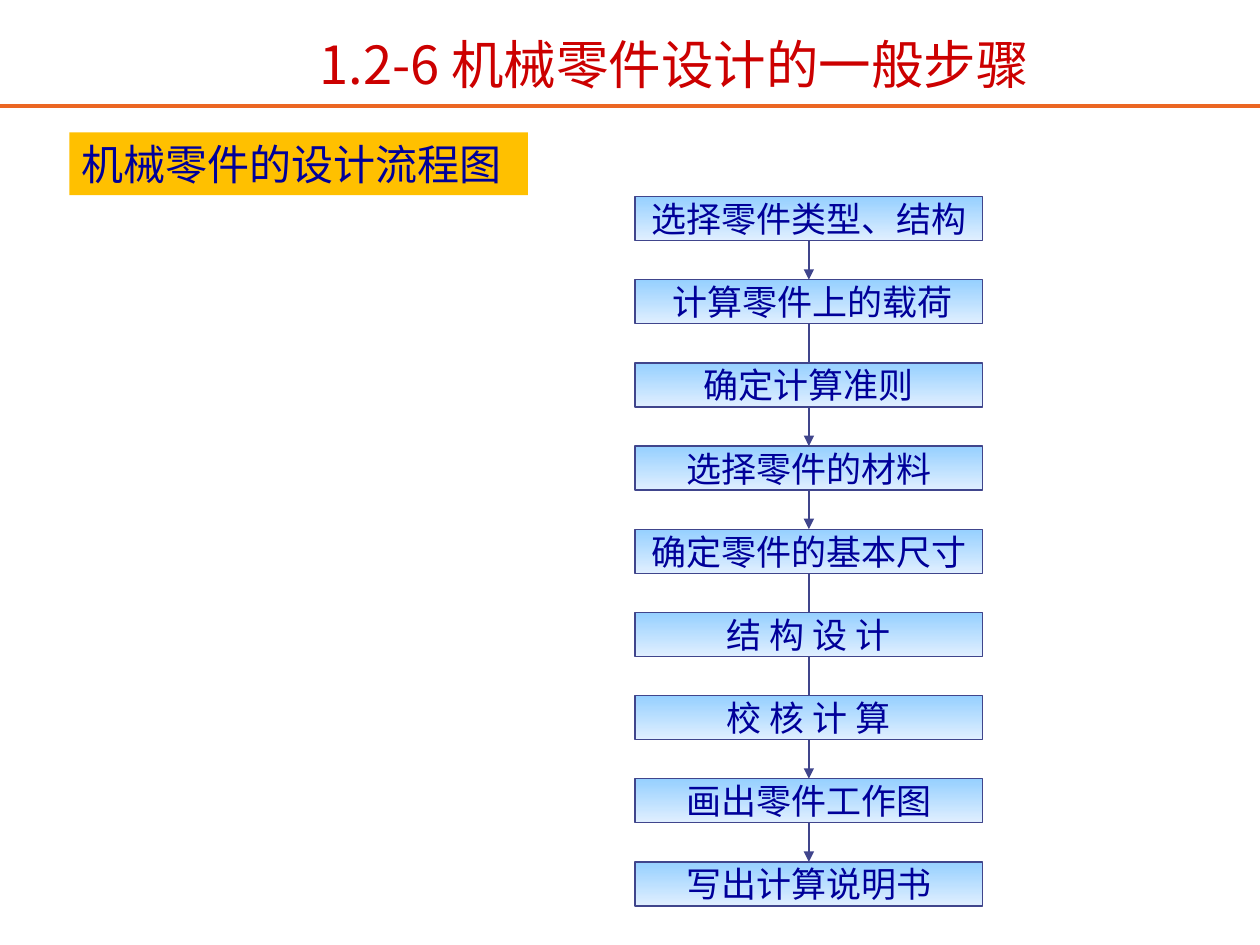
from collections import namedtuple
from dataclasses import dataclass

from lxml import etree
from pptx import Presentation
from pptx.dml.color import RGBColor
from pptx.enum import shapes, text
from pptx.oxml.ns import qn
from pptx.util import Inches, Pt

Box = namedtuple("Box", "x y w h")


@dataclass(frozen=True)
class Theme:
    """Colours, font and type sizes of the slide."""
    font: str = "Noto Sans CJK SC"
    title: str = "CC0000"
    ink: str = "000099"
    rule: str = "EB6623"
    label: str = "FFC000"
    edge: str = "40458C"
    step_top: str = "96D0FF"
    step_bottom: str = "E0EFFF"
    title_size: int = 30
    label_size: int = 24
    step_size: int = 20
    thin: float = 0.75
    thick: float = 2.25


THEME = Theme()
SLIDE = Box(0, 0, 10, 7.5)
STEPS = [
    ("选择零件类型、结构", True),
    (" 计算零件上的载荷", False),
    ("确定计算准则", True),
    ("选择零件的材料", True),
    ("确定零件的基本尺寸", False),
    ("结 构 设 计", False),
    ("校 核 计 算", True),
    ("画出零件工作图", True),
    ("写出计算说明书", False),
]


def rgb(value):
    """Turn a hex string into a colour."""
    return RGBColor.from_string(value)


def emu(box):
    """Turn a box in inches into slide lengths."""
    return [Inches(v) for v in box]


def write(sp, words, size, color, align=text.PP_ALIGN.CENTER, wrap=True, top=0.05, bottom=0.05):
    """Write one formatted paragraph into a shape."""
    tf = sp.text_frame
    tf.word_wrap = wrap
    tf.vertical_anchor = text.MSO_ANCHOR.MIDDLE
    tf.margin_top, tf.margin_bottom = Inches(top), Inches(bottom)
    p = tf.paragraphs[0]
    p.alignment = align
    r = p.add_run()
    r.text = words
    r.font.size, r.font.name = Pt(size), THEME.font
    r.font.color.rgb = rgb(color)
    etree.SubElement(r.font._element, qn("a:ea"), typeface=THEME.font)


def add_rect(s, box):
    """Add a rectangle without shadow or outline."""
    sp = s.shapes.add_shape(shapes.MSO_SHAPE.RECTANGLE, *emu(box))
    sp.shadow.inherit = False
    sp.line.fill.background()
    return sp


def add_line(s, start, end, color, width, arrow=False):
    """Add a straight line, with an arrowhead at its end if asked."""
    c = s.shapes.add_connector(shapes.MSO_CONNECTOR.STRAIGHT, *emu(start + end))
    c.line.color.rgb, c.line.width = rgb(color), Pt(width)
    if arrow:
        etree.SubElement(c.line._get_or_add_ln(), qn("a:tailEnd"), type="triangle")
    etree.SubElement(c._element.spPr, qn("a:effectLst"))
    return c


def add_header(s, box):
    """Place the title and the rule along the bottom of the header."""
    area = Box(box.x + 0.17 * box.w, box.y + box.h / 3, 0.73 * box.w, 0.56 * box.h)
    sp = s.shapes.add_textbox(*emu(area))
    write(sp, "1.2-6 机械零件设计的一般步骤", THEME.title_size, THEME.title, top=0.02)
    y = box.y + box.h
    add_line(s, (box.x, y), (box.x + box.w, y), THEME.rule, THEME.thick)


def add_label(s, box):
    """Place the label that names the flowchart."""
    sp = add_rect(s, box)
    sp.fill.solid()
    sp.fill.fore_color.rgb = rgb(THEME.label)
    write(sp, "机械零件的设计流程图", THEME.label_size, THEME.ink, align=text.PP_ALIGN.LEFT)


def add_step(s, box, words):
    """Place one step of the flowchart."""
    sp = add_rect(s, box)
    sp.fill.gradient()
    sp.fill.gradient_angle = 270
    for stop, color in zip(sp.fill.gradient_stops, (THEME.step_top, THEME.step_bottom)):
        stop.color.rgb = rgb(color)
    sp.line.color.rgb, sp.line.width = rgb(THEME.edge), Pt(THEME.thin)
    write(sp, words, THEME.step_size, THEME.ink, wrap=False, top=0, bottom=0)
    return sp


def add_flow(s, box, steps, gap=0.31):
    """Stack the steps in equal rows and join each to the next."""
    height = (box.h - gap * (len(steps) - 1)) / len(steps)
    rows = [
        add_step(s, Box(box.x, box.y + i * (height + gap), box.w, height), words)
        for i, (words, _) in enumerate(steps)
    ]
    for upper, lower, (_, arrow) in zip(rows, rows[1:], steps):
        c = add_line(s, (0, 0), (0, 0), THEME.edge, THEME.thin, arrow)
        c.begin_connect(upper, 2)
        c.end_connect(lower, 0)


def main():
    """Build the slide and save it."""
    prs = Presentation()
    prs.slide_width, prs.slide_height = Inches(SLIDE.w), Inches(SLIDE.h)
    s = prs.slides.add_slide(prs.slide_layouts[6])
    add_header(s, Box(0, 0, SLIDE.w, 0.84))
    add_label(s, Box(0.55, 1.05, 3.64, 0.5))
    add_flow(s, Box(5.04, 1.56, 2.76, 5.63), STEPS)
    prs.save("out.pptx")


if __name__ == "__main__":
    main()
